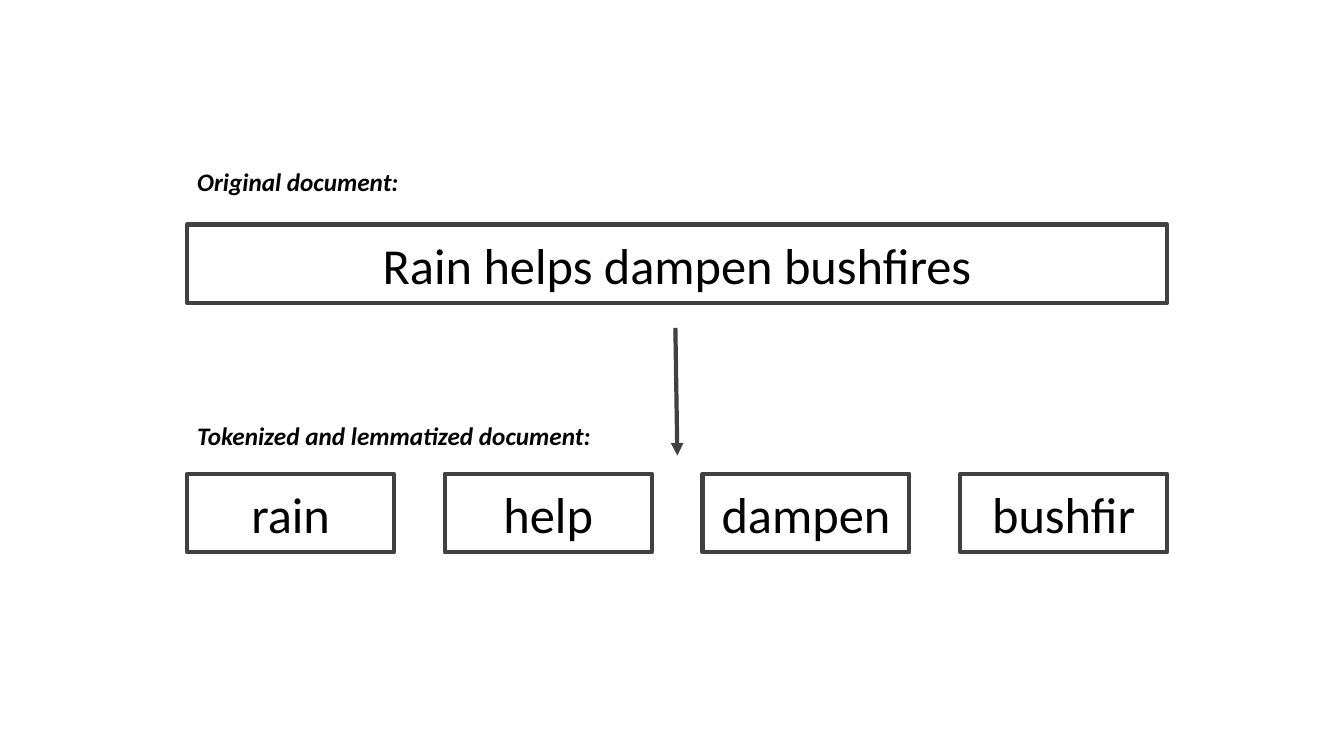
from dataclasses import dataclass

from lxml.etree import SubElement
from pptx import Presentation
from pptx.dml.color import RGBColor
from pptx.enum.shapes import MSO_CONNECTOR, MSO_SHAPE
from pptx.enum.text import MSO_ANCHOR, MSO_AUTO_SIZE, PP_ALIGN
from pptx.oxml.ns import qn
from pptx.util import Cm, Pt


@dataclass(frozen=True)
class Theme:
    """Colours, font and sizes used on the slide."""
    font: str = "Calibri"
    text: RGBColor = RGBColor(0x00, 0x00, 0x00)
    outline: RGBColor = RGBColor(0x40, 0x40, 0x40)
    outline_width: Pt = Pt(3)
    box_size: Pt = Pt(36)
    label_size: Pt = Pt(18)


theme = Theme()


def write_text(shape, text, size, emphasis=False):
    """Set the shape's text and format its run."""
    shape.text_frame.text = text
    font = shape.text_frame.paragraphs[0].runs[0].font
    font.name = theme.font
    font.size = size
    font.color.rgb = theme.text
    font.bold = font.italic = emphasis


def add_box(slide, text, left, top, width):
    """Add an outlined box with centred text; lengths in centimetres."""
    box = slide.shapes.add_shape(
        MSO_SHAPE.RECTANGLE, Cm(left), Cm(top), Cm(width), Cm(1.98))
    box.shadow.inherit = False
    box.fill.background()
    box.line.color.rgb = theme.outline
    box.line.width = theme.outline_width
    write_text(box, text, theme.box_size)
    box.text_frame.vertical_anchor = MSO_ANCHOR.MIDDLE
    box.text_frame.paragraphs[0].alignment = PP_ALIGN.CENTER


presentation = Presentation()
presentation.slide_width = Cm(33.87)
presentation.slide_height = Cm(19.05)
slide = presentation.slides.add_slide(presentation.slide_layouts[6])

# Document and its tokens, spread evenly over the same width
left, width = 4.72, 24.69
token_width = 5.21
tokens = ["rain", "help", "dampen", "bushfir"]
token_step = (width - token_width) / (len(tokens) - 1)

add_box(slide, "Rain helps dampen bushfires", left, 5.66, width)
for index, token in enumerate(tokens):
    add_box(slide, token, left + index * token_step, 11.94, token_width)

# Arrow from document to tokens
arrow = slide.shapes.add_connector(
    MSO_CONNECTOR.STRAIGHT, Cm(17.02), Cm(8.26), Cm(17.07), Cm(11.48))
arrow.line.color.rgb = theme.outline
arrow.line.width = theme.outline_width
SubElement(arrow.line._get_or_add_ln(), qn("a:tailEnd"), type="triangle")
SubElement(arrow._element.spPr, qn("a:effectLst"))

# Labels above the two rows
labels = [
    ("Tokenized and lemmatized document:", 10.46, 10.54),
    ("Original document:", 4.06, 5.64),
]
for text, top, label_width in labels:
    label = slide.shapes.add_textbox(Cm(left), Cm(top), Cm(label_width), Cm(1.02))
    label.text_frame.word_wrap = False
    label.text_frame.auto_size = MSO_AUTO_SIZE.SHAPE_TO_FIT_TEXT
    write_text(label, text, theme.label_size, emphasis=True)

presentation.save("out.pptx")
